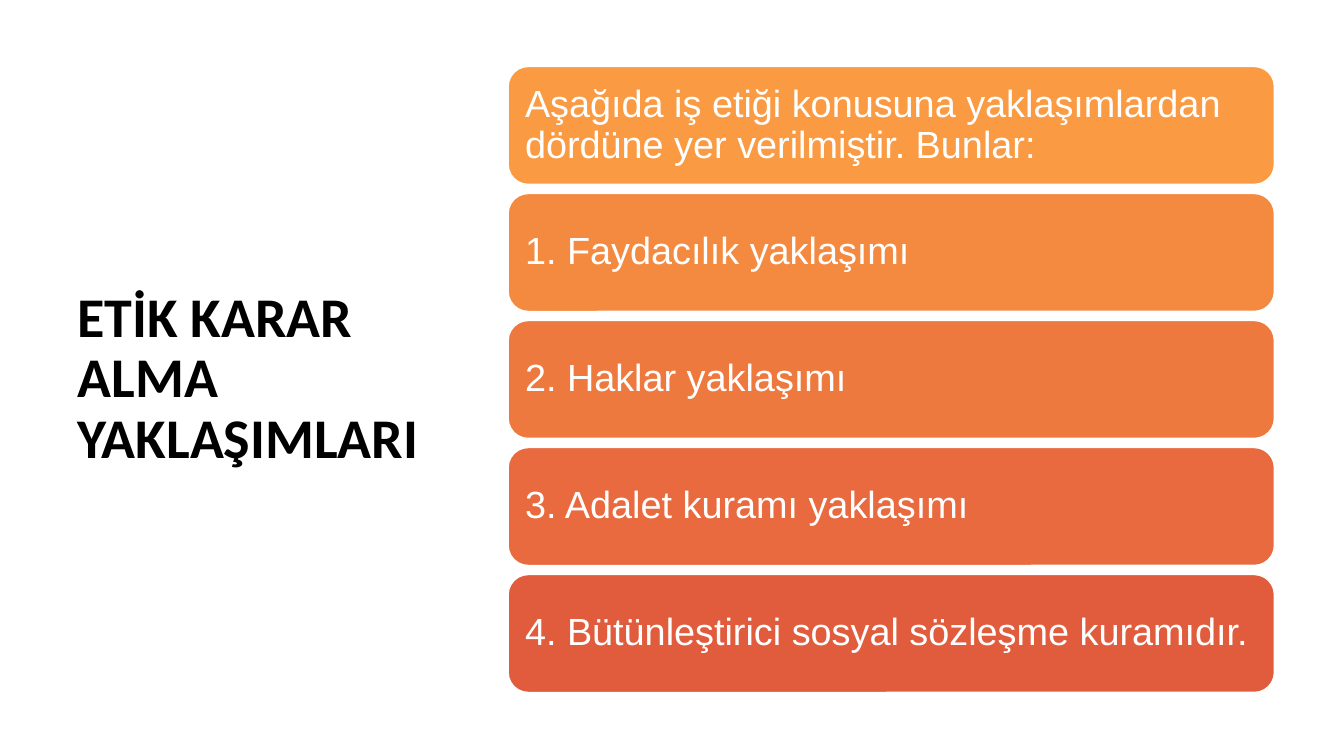
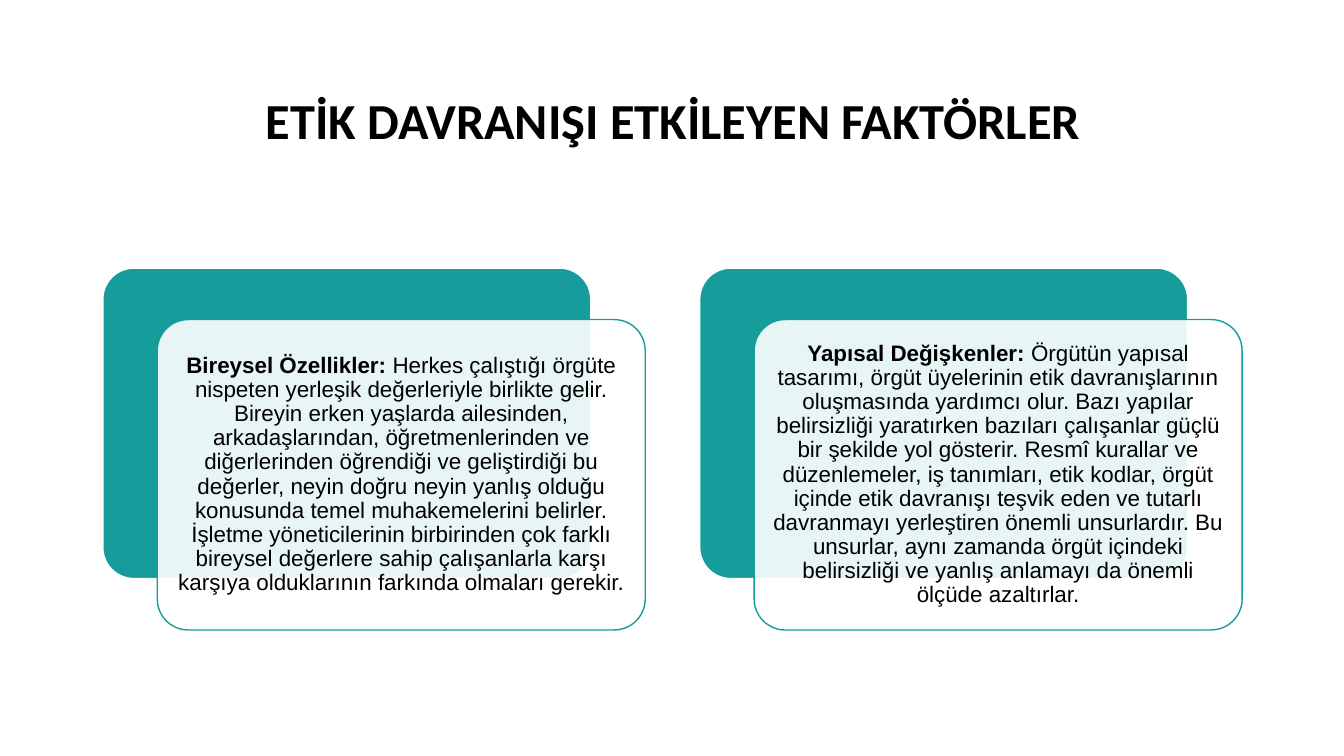
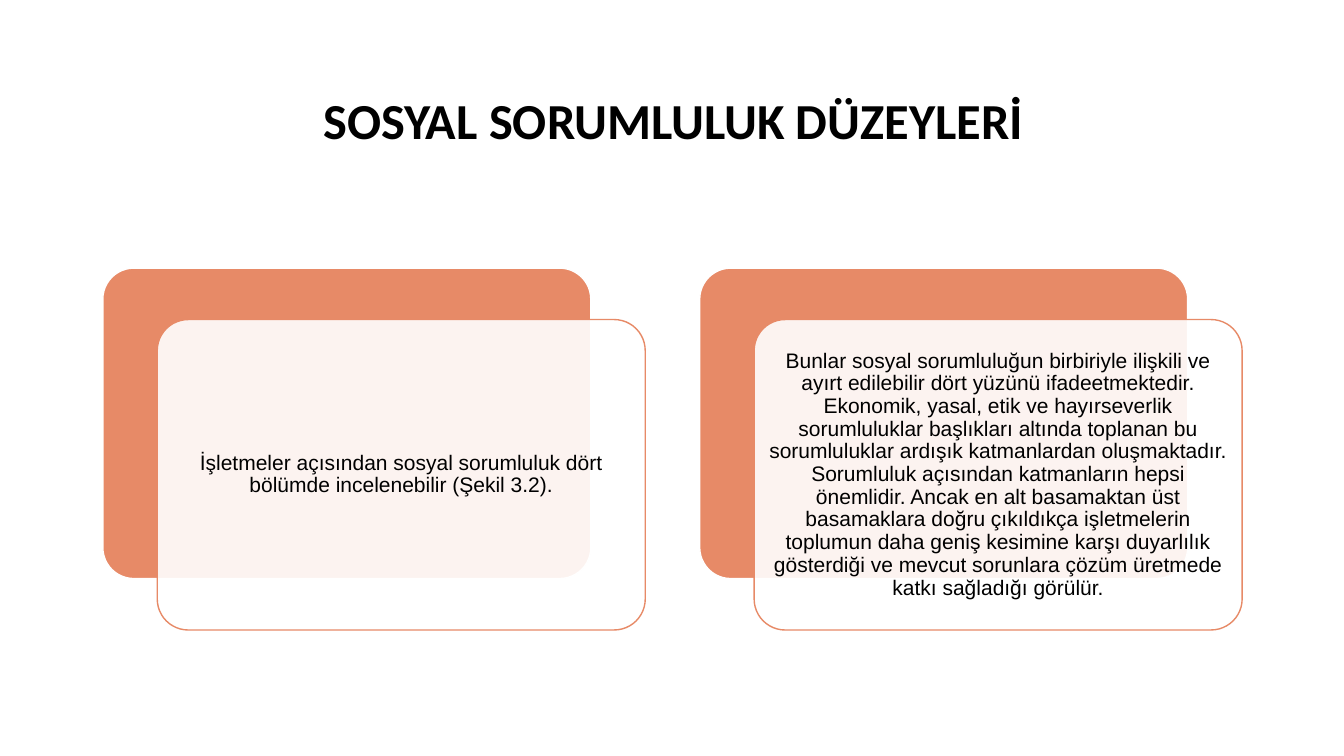
from lxml.etree import SubElement
from pptx import Presentation
from pptx.dml.color import RGBColor
from pptx.enum.shapes import MSO_SHAPE
from pptx.enum.text import MSO_ANCHOR, MSO_AUTO_SIZE, PP_ALIGN
from pptx.oxml.ns import qn
from pptx.util import Inches, Pt

BLACK = "000000"
WHITE = "FFFFFF"
TEAL = "169C9A"
CORAL = "E78A67"


def color(value):
    return RGBColor.from_string(value)


class Deck:
    title_font = "Calibri"
    body_font = "Arial"
    line_spacing = 0.9

    def __init__(self):
        self.deck = Presentation()
        self.deck.slide_width = Inches(13.33)
        self.deck.slide_height = Inches(7.5)
        self.page = None

    def add_page(self):
        self.page = self.deck.slides.add_slide(self.deck.slide_layouts[5])

    def set_text(self, shape, texts, size, font, ink, align, bold_first=False):
        frame = shape.text_frame
        frame.word_wrap = True
        frame.auto_size = MSO_AUTO_SIZE.NONE
        frame.vertical_anchor = MSO_ANCHOR.MIDDLE
        para = frame.paragraphs[0]
        para.alignment = align
        para.line_spacing = self.line_spacing
        for index, text in enumerate(texts):
            span = para.add_run()
            span.text = text
            span.font.name = font
            span.font.size = Pt(size)
            span.font.bold = bold_first and index == 0
            span.font.color.rgb = color(ink)

    def title(self, text, left, top, width, height, size, align):
        box = self.page.shapes.title
        box.left, box.top = Inches(left), Inches(top)
        box.width, box.height = Inches(width), Inches(height)
        self.set_text(box, [text], size, self.title_font, BLACK, align, True)

    def wide_title(self, text):
        self.title(text, 1.67, 0.6, 10.02, 1.24, 36, PP_ALIGN.CENTER)

    def panel(self, left, top, width, height, fill, line, corner, margin=0.1, opacity=100):
        shape = self.page.shapes.add_shape(
            MSO_SHAPE.ROUNDED_RECTANGLE,
            Inches(left), Inches(top), Inches(width), Inches(height))
        shape.shadow.inherit = False
        shape.adjustments[0] = corner
        shape.fill.solid()
        shape.fill.fore_color.rgb = color(fill)
        shape.line.color.rgb = color(line)
        shape.line.width = Pt(1)
        if opacity < 100:
            tint = shape._element.spPr.find(qn("a:solidFill"))[0]
            SubElement(tint, qn("a:alpha")).set("val", str(opacity * 1000))
        frame = shape.text_frame
        frame.margin_left = frame.margin_right = Inches(margin)
        frame.margin_top = frame.margin_bottom = Inches(margin)
        return shape

    def bars(self, items):
        for index, (text, fill) in enumerate(items):
            bar = self.panel(5.04, 0.66 + index * 1.26, 7.6, 1.17, fill, WHITE, 0.17, 0.11)
            self.set_text(bar, [text], 27, self.body_font, WHITE, PP_ALIGN.LEFT)

    def cards(self, items, accent, size, margin, bold_first=False):
        width, height = 4.84, 3.08
        for index, texts in enumerate(items):
            left, top = 1.02 + index * 5.92, 2.66
            self.panel(left, top, width, height, accent, WHITE, 0.1)
            card = self.panel(left + 0.54, top + 0.51, width, height,
                              WHITE, accent, 0.1, margin, 90)
            self.set_text(card, texts, size, self.body_font, BLACK, PP_ALIGN.CENTER, bold_first)

    def save(self):
        self.deck.save("out.pptx")


def main():
    deck = Deck()

    deck.add_page()
    deck.title("ETİK KARAR ALMA YAKLAŞIMLARI", 0.67, 0.6, 3.82, 6.33, 40, PP_ALIGN.LEFT)
    deck.bars([
        ("Aşağıda iş etiği konusuna yaklaşımlardan dördüne yer verilmiştir. Bunlar:", "FA9A42"),
        ("1. Faydacılık yaklaşımı", "F48940"),
        ("2. Haklar yaklaşımı", "EE793F"),
        ("3. Adalet kuramı yaklaşımı", "E86A3E"),
        ("4. Bütünleştirici sosyal sözleşme kuramıdır.", "E15C3D"),
    ])

    deck.add_page()
    deck.wide_title("ETİK DAVRANIŞI ETKİLEYEN FAKTÖRLER")
    deck.cards([
        ("Bireysel Özellikler: ",
         "Herkes çalıştığı örgüte nispeten yerleşik değerleriyle birlikte gelir. "
         "Bireyin erken yaşlarda ailesinden, arkadaşlarından, öğretmenlerinden ve "
         "diğerlerinden öğrendiği ve geliştirdiği bu değerler, neyin doğru neyin yanlış "
         "olduğu konusunda temel muhakemelerini belirler. İşletme yöneticilerinin "
         "birbirinden çok farklı bireysel değerlere sahip çalışanlarla karşı karşıya "
         "olduklarının farkında olmaları gerekir."),
        ("Yapısal Değişkenler: ",
         "Örgütün yapısal tasarımı, örgüt üyelerinin etik davranışlarının oluşmasında "
         "yardımcı olur. Bazı yapılar belirsizliği yaratırken bazıları çalışanlar güçlü "
         "bir şekilde yol gösterir. Resmî kurallar ve düzenlemeler, iş tanımları, etik "
         "kodlar, örgüt içinde etik davranışı teşvik eden ve tutarlı davranmayı "
         "yerleştiren önemli unsurlardır. Bu unsurlar, aynı zamanda örgüt içindeki "
         "belirsizliği ve yanlış anlamayı da önemli ölçüde azaltırlar."),
    ], TEAL, 16, 0.07, bold_first=True)

    deck.add_page()
    deck.wide_title("SOSYAL SORUMLULUK DÜZEYLERİ")
    deck.cards([
        ("İşletmeler açısından sosyal sorumluluk dört bölümde incelenebilir (Şekil 3.2).",),
        ("Bunlar sosyal sorumluluğun birbiriyle ilişkili ve ayırt edilebilir dört yüzünü "
         "ifadeetmektedir. Ekonomik, yasal, etik ve hayırseverlik sorumluluklar başlıkları "
         "altında toplanan bu sorumluluklar ardışık katmanlardan oluşmaktadır. Sorumluluk "
         "açısından katmanların hepsi önemlidir. Ancak en alt basamaktan üst basamaklara "
         "doğru çıkıldıkça işletmelerin toplumun daha geniş kesimine karşı duyarlılık "
         "gösterdiği ve mevcut sorunlara çözüm üretmede katkı sağladığı görülür.",),
    ], CORAL, 15, 0.06)

    deck.save()


if __name__ == "__main__":
    main()
